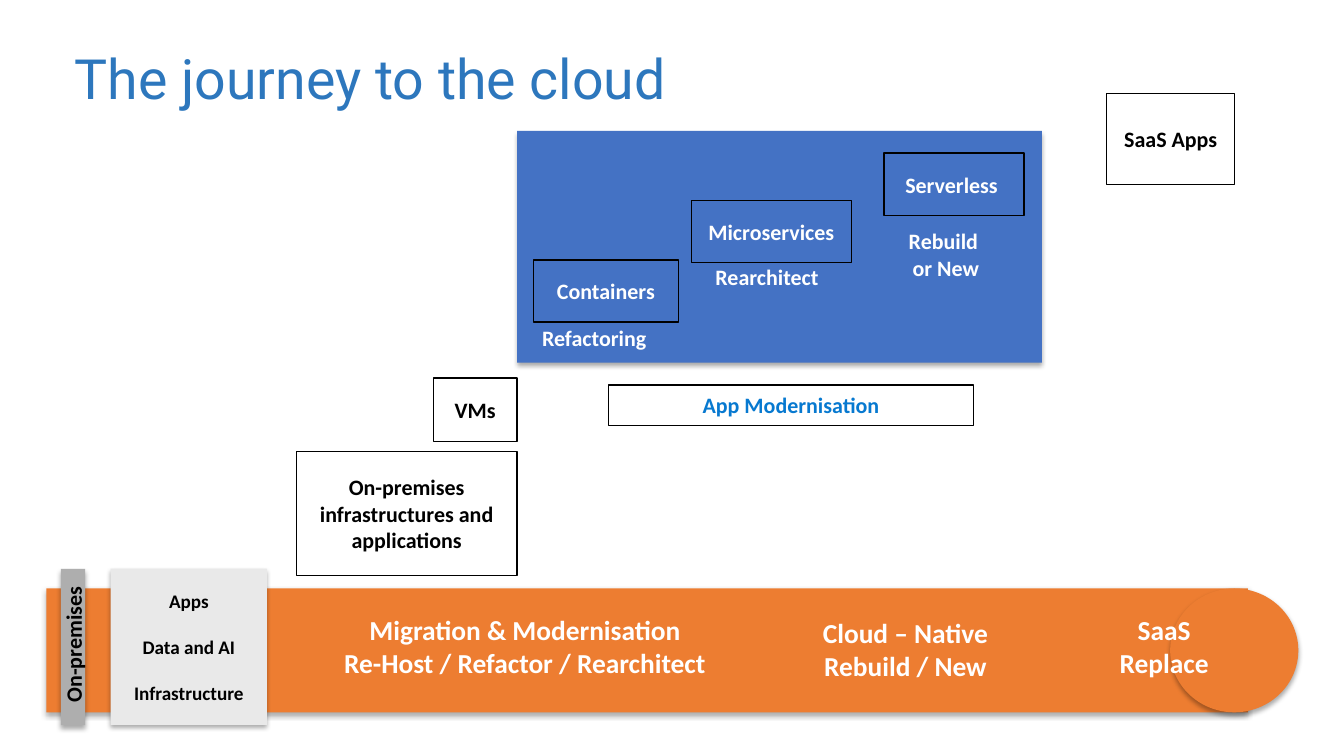
import pptx
import pptx.util
import pptx.dml.color
import pptx.enum.shapes
import pptx.enum.text
from lxml import etree

Cm, Pt = pptx.util.Cm, pptx.util.Pt
Shape = pptx.enum.shapes.MSO_SHAPE
Align = pptx.enum.text.PP_ALIGN
Anchor = pptx.enum.text.MSO_ANCHOR

TITLE = "The journey to the cloud"
BLACK, WHITE, BLUE, ORANGE = "000000", "FFFFFF", "4472C4", "ED7D31"
BODY, CARD, STAGE = 15.7, 13.7, 19.6

BAR_TOP, BAR_HEIGHT = 14.83, 3.12
STEP_HEIGHT = 1.57
STAGE_HEIGHT = 1.47

PANELS = [
    (Shape.RECTANGLE, (13.03, 3.3, 13.23, 5.84), BLUE),
    (Shape.RECTANGLE, (1.17, BAR_TOP, 30.28, BAR_HEIGHT), ORANGE),
    (Shape.FLOWCHART_CONNECTOR, (29.49, BAR_TOP, 3.23, BAR_HEIGHT), ORANGE),
]
ON_PREMISES = ([" On-premises"], (-0.13, 16, 3.94, 0.61), "AEAEAE")
LAYERS = (["Apps", "Data and AI", "Infrastructure"], (2.79, 14.33, 3.94, 3.94), "E9E9E9")
STAGES = [
    (["Migration & Modernisation", "Re-Host / Refactor / Rearchitect"], 6.73, 15.54, 13),
    (["Cloud – Native", "Rebuild / New"], 19.15, 15.62, 7.34),
    (["SaaS", "Replace"], 27.13, 15.54, 4.42),
]
OUTLINED = [
    ("On-premises infrastructures and applications", (7.47, 11.38, 5.56, 3.12), BLACK),
    ("VMs", (10.92, 9.53, 2.11, 1.6), BLACK),
    ("SaaS Apps", (27.89, 2.36, 3.23, 2.29), BLACK),
    ("Containers", (13.44, 6.55, 3.66, STEP_HEIGHT), WHITE),
    ("Microservices", (17.42, 5.05, 4.04, STEP_HEIGHT), WHITE),
    ("Serverless ", (22.28, 3.86, 3.53, STEP_HEIGHT), WHITE),
    ("App Modernisation", (15.34, 9.7, 9.19, 1.02), "0779D0"),
]
APPROACHES = [
    (["Refactoring"], (13.41, 8.05, 3.58, 0.91), Align.LEFT),
    (["Rearchitect"], (17.78, 6.5, 3.45, 0.91), Align.LEFT),
    (["Rebuild", " or New"], (22.48, 5.61, 2.59, 1.6), Align.CENTER),
]


def color(value):
    return pptx.dml.color.RGBColor.from_string(value)


def write(box, lines, size, ink, align=Align.CENTER, anchor=Anchor.MIDDLE, side=0, gap=0):
    frame = box.text_frame
    frame.word_wrap = True
    frame.vertical_anchor = anchor
    frame.margin_left = frame.margin_right = Cm(side)
    frame.margin_top = frame.margin_bottom = Cm(0.13)
    for index, line in enumerate(lines):
        para = frame.paragraphs[0] if index == 0 else frame.add_paragraph()
        para.text = line
        para.alignment = align
        para.space_before = Pt(gap if index else 0)
        para.font.name = "Calibri"
        para.font.size = Pt(size)
        para.font.bold = True
        para.font.color.rgb = color(ink)


def add_box(page, kind, place):
    box = page.shapes.add_shape(kind, *map(Cm, place))
    box.shadow.inherit = False
    return box


def add_panel(page, kind, place, fill):
    box = add_box(page, kind, place)
    box.fill.solid()
    box.fill.fore_color.rgb = color(fill)
    box.line.fill.background()
    effects = box._element.spPr.find(pptx.oxml.ns.qn("a:effectLst"))
    shadow = etree.SubElement(
        effects, pptx.oxml.ns.qn("a:outerShdw"), blurRad=str(Pt(3.5)),
        dist=str(Pt(2.2)), dir="5400000", algn="ctr", rotWithShape="0")
    tint = etree.SubElement(shadow, pptx.oxml.ns.qn("a:srgbClr"), val=BLACK)
    etree.SubElement(tint, pptx.oxml.ns.qn("a:alpha"), val="32000")
    return box


def add_outlined(page, text, place, ink):
    box = add_box(page, Shape.RECTANGLE, place)
    box.fill.background()
    box.line.color.rgb = color(BLACK)
    box.line.width = Pt(1)
    write(box, [text], BODY, ink)


def add_title(page):
    title = page.shapes.title
    title.left, title.top, title.width, title.height = map(Cm, (1.63, 1.27, 30.61, 1.55))
    frame = title.text_frame
    frame.text = TITLE
    frame.auto_size = pptx.enum.text.MSO_AUTO_SIZE.NONE
    frame.vertical_anchor = Anchor.MIDDLE
    para = frame.paragraphs[0]
    para.alignment = Align.LEFT
    para.line_spacing = 0.9
    para.font.name = "Roboto"
    para.font.size = Pt(39.6)
    para.font.color.rgb = color("2D77BD")


def main():
    deck = pptx.Presentation()
    deck.slide_width, deck.slide_height = Cm(33.87), Cm(19.05)
    page = deck.slides.add_slide(deck.slide_layouts[5])
    add_title(page)

    for kind, place, fill in PANELS:
        add_panel(page, kind, place, fill)

    lines, place, fill = ON_PREMISES
    strip = add_panel(page, Shape.RECTANGLE, place, fill)
    strip.rotation = 270
    write(strip, lines, BODY, BLACK)

    lines, place, fill = LAYERS
    card = add_panel(page, Shape.RECTANGLE, place, fill)
    write(card, lines, CARD, BLACK, gap=16.4)

    for lines, left, top, width in STAGES:
        stage = page.shapes.add_textbox(*map(Cm, (left, top, width, STAGE_HEIGHT)))
        write(stage, lines, STAGE, WHITE)

    for text, place, ink in OUTLINED:
        add_outlined(page, text, place, ink)

    for lines, place, align in APPROACHES:
        label = page.shapes.add_textbox(*map(Cm, place))
        write(label, lines, BODY, WHITE, align, Anchor.TOP, side=0.25)

    deck.save("out.pptx")


if __name__ == "__main__":
    main()
